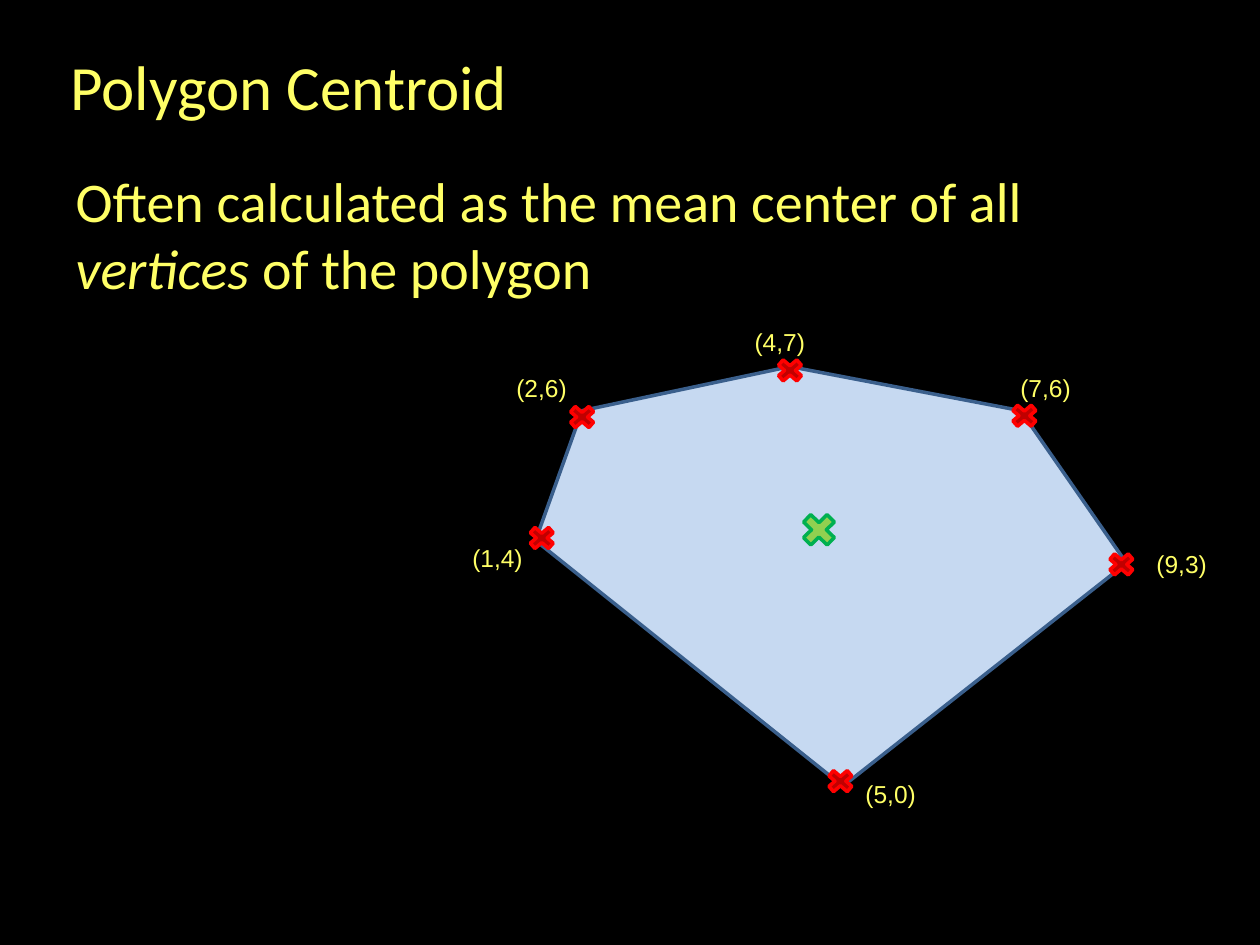
"""Build the Polygon Centroid slide with its labelled vertices."""
from lxml import etree
from pptx import Presentation
from pptx.dml.color import RGBColor
from pptx.enum import shapes, text
from pptx.oxml.ns import qn
from pptx.util import Inches, Pt

THEME = {
    "background": "000000", "text": "FFFF66",
    "area": ("C6D9F1", "3A5F8C"), "vertex": ("C00000", "FF0000"), "centroid": ("92D050", "00B050"),
    "title": Pt(36), "body": Pt(32), "label": Pt(14), "outline": Pt(2),
    "heading_font": "Calibri", "label_font": "Arial",
}


def paint(shape, role):
    fill, line = THEME[role]
    shape.shadow.inherit = False
    shape.fill.solid()
    shape.fill.fore_color.rgb = RGBColor.from_string(fill)
    shape.line.color.rgb = RGBColor.from_string(line)
    shape.line.width = THEME["outline"]


def write(shape, runs, role, font_name, frame_format):
    frame = shape.text_frame
    for name, value in frame_format.items():
        setattr(frame, name, value)
    paragraph = frame.paragraphs[0]
    paragraph.alignment = text.PP_ALIGN.LEFT
    paragraph.space_before = Pt(0)
    for words, italic in runs:
        run = paragraph.add_run()
        run.text = words
        for name, value in {"name": font_name, "size": THEME[role], "italic": italic}.items():
            setattr(run.font, name, value)
        run.font.color.rgb = RGBColor.from_string(THEME["text"])
    return paragraph


deck = Presentation()
deck.slide_width, deck.slide_height = Inches(10), Inches(7.5)
slide = deck.slides.add_slide(deck.slide_layouts[1])
slide.background.fill.solid()
slide.background.fill.fore_color.rgb = RGBColor.from_string(THEME["background"])

title, body = slide.shapes.title, slide.placeholders[1]
for placeholder, box in ((title, (0.46, 0.33, 4.96, 0.71)), (body, (0.5, 1.22, 9, 5.48))):
    placeholder.left, placeholder.top, placeholder.width, placeholder.height = map(Inches, box)

heading_format = {
    "word_wrap": True, "auto_size": text.MSO_AUTO_SIZE.NONE, "vertical_anchor": text.MSO_ANCHOR.TOP,
    "margin_left": Inches(0.1), "margin_right": Inches(0.1),
    "margin_top": Inches(0.05), "margin_bottom": Inches(0.05),
}
write(title, [("Polygon Centroid", None)], "title", THEME["heading_font"], heading_format)

body_format = heading_format | {"margin_top": Inches(0.1), "margin_bottom": Inches(0.1)}
definition = [("Often calculated as the mean center of all ", None), ("vertices", True),
              (" of the polygon", None)]
statement = write(body, definition, "body", THEME["heading_font"], body_format)
properties = statement._p.get_or_add_pPr()
properties.set("marL", "0")
properties.set("indent", "0")
etree.SubElement(properties, qn("a:buNone"))

corners = [(4.62, 3.26), (6.27, 2.91), (8.1, 3.26), (8.94, 4.47), (6.69, 6.24), (4.25, 4.29)]
start, *others = [(Inches(x), Inches(y)) for x, y in corners]
outline = slide.shapes.build_freeform(*start)
outline.add_line_segments(others, close=True)
paint(outline.convert_to_shape(), "area")

vertices = [
    ("(1,4)", (4.16, 4.15), (3.65, 4.26)),
    ("(2,6)", (4.48, 3.19), (4, 2.91)),
    ("(4,7)", (6.13, 2.82), (5.89, 2.55)),
    ("(7,6)", (7.99, 3.18), (8, 2.91)),
    ("(9,3)", (8.76, 4.36), (9.08, 4.31)),
    ("(5,0)", (6.53, 6.08), (6.77, 6.13)),
]
crosses = [("vertex", (*corner, 0.28, 0.24)) for _, corner, _ in vertices]
crosses.append(("centroid", (6.32, 4.03, 0.36, 0.35)))
for role, box in crosses:
    cross = slide.shapes.add_shape(shapes.MSO_SHAPE.MATH_MULTIPLY, *map(Inches, box))
    paint(cross, role)

label_format = {"word_wrap": False, "auto_size": text.MSO_AUTO_SIZE.SHAPE_TO_FIT_TEXT}
for coordinates, _, corner in vertices:
    label = slide.shapes.add_textbox(*map(Inches, (*corner, 0.6, 0.34)))
    write(label, [(coordinates, None)], "label", THEME["label_font"], label_format)

deck.save("out.pptx")
